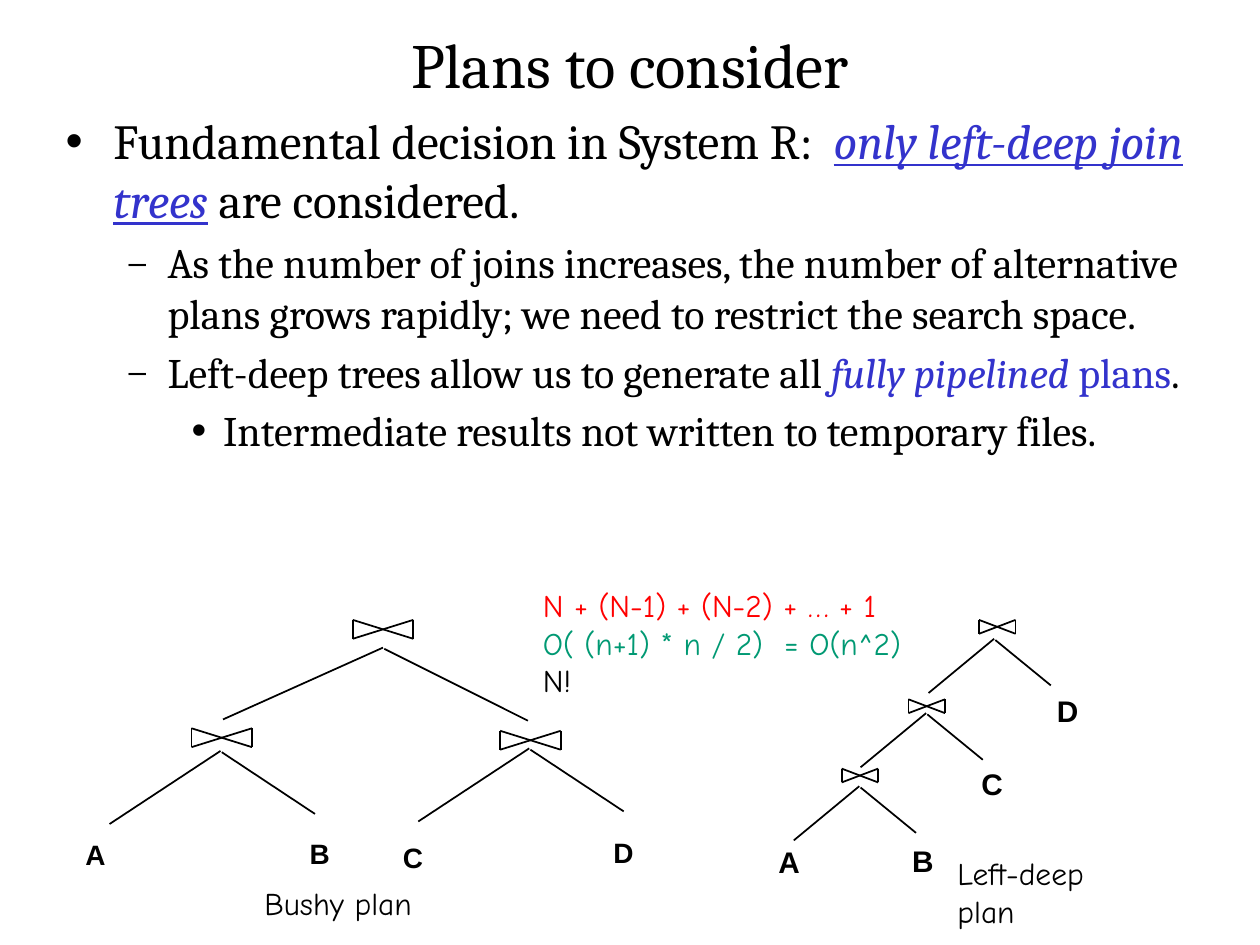
from dataclasses import dataclass

from lxml.etree import SubElement
from pptx import Presentation
from pptx.dml.color import RGBColor
from pptx.enum.shapes import MSO_CONNECTOR as Link
from pptx.enum.text import MSO_ANCHOR as Anchor, MSO_AUTO_SIZE as Fit, PP_ALIGN as Align
from pptx.oxml.ns import qn
from pptx.util import Inches, Pt

BLACK = RGBColor(0x00, 0x00, 0x00)
BLUE = RGBColor(0x33, 0x33, 0xCC)
RED = RGBColor(0xFF, 0x00, 0x00)
GREEN = RGBColor(0x00, 0x99, 0x73)
SERIF, SANS, HAND = "Cambria", "Arial", "Comic Neue"
Pair = tuple[float, float]


@dataclass
class Run:
    text: str
    color: RGBColor | None = None
    italic: bool = False
    under: bool = False


@dataclass
class Point:
    level: int
    runs: list[Run]


@dataclass
class Level:
    margin: float
    hang: float
    mark: str
    size: int
    scale: int = 100


@dataclass
class Join:
    """A bow tie at `at`, with two branches that leave from `apex`."""
    at: Pair
    apex: Pair


@dataclass
class Style:
    bow: Pair
    left: Pair
    right: Pair


@dataclass
class Leaf:
    text: str
    left: float
    top: float


LEVELS = [
    Level(0.38, 0.38, "•", 28),
    Level(0.81, 0.31, "–", 24, 75),
    Level(1.25, 0.25, "•", 24),
]
POINTS = [
    Point(0, [Run("Fundamental decision in System R:  "),
              Run("only left-deep join trees", BLUE, True, True),
              Run(" are considered.")]),
    Point(1, [Run("As the number of joins increases, the number of alternative "
                  "plans grows rapidly; we need to restrict the search space.")]),
    Point(1, [Run("Left-deep trees allow us to generate all "),
              Run("fully pipelined ", BLUE, True), Run("plans", BLUE), Run(".")]),
    Point(2, [Run("Intermediate results not written to temporary files.")]),
]

BOW = (0.48, 0.15)
ROOT = Style(BOW, (-1.27, 0.57), (1.14, 0.57))
BUSHY = Style(BOW, (-0.88, 0.58), (0.74, 0.49))
DEEP = Style((0.29, 0.11), (-0.52, 0.43), (0.44, 0.36))
TREES = [
    (ROOT, [Join((2.8, 4.92), (3.04, 5.14))]),
    (BUSHY, [Join((1.52, 5.78), (1.75, 5.96)), Join((3.97, 5.8), (4.2, 5.94))]),
    (DEEP, [Join((7.77, 4.92), (7.89, 5.07)), Join((7.21, 5.55), (7.35, 5.66)),
            Join((6.68, 6.1), (6.82, 6.24))]),
]
LEAVES = {
    16: [Leaf("A", 0.58, 6.6), Leaf("B", 2.36, 6.59),
         Leaf("C", 3.1, 6.62), Leaf("D", 4.77, 6.58)],
    17: [Leaf("A", 6.08, 6.65), Leaf("B", 7.14, 6.64),
         Leaf("C", 7.69, 6.03), Leaf("D", 8.29, 5.45)],
}


def place(shape, left: float, top: float, width: float, height: float) -> None:
    shape.left, shape.top = Inches(left), Inches(top)
    shape.width, shape.height = Inches(width), Inches(height)


def style(para, face: str, size: int, color: RGBColor = BLACK, bold: bool = False) -> None:
    font = para.font
    font.name, font.size, font.bold = face, Pt(size), bold
    font.color.rgb = color


def add_text(slide, box: tuple, lines: list[tuple[str, RGBColor]], face: str,
             size: int, bold: bool = False):
    frame = slide.shapes.add_textbox(*map(Inches, box)).text_frame
    frame.word_wrap = False
    for i, (text, color) in enumerate(lines):
        para = frame.add_paragraph() if i else frame.paragraphs[0]
        para.text = text
        style(para, face, size, color, bold)
    return frame


def add_point(para, point: Point) -> None:
    level = LEVELS[point.level]
    para.level = point.level
    props = para._p.get_or_add_pPr()
    props.set("marL", str(Inches(level.margin)))
    props.set("indent", str(-Inches(level.hang)))
    SubElement(props, qn("a:buSzPct")).set("val", str(level.scale * 1000))
    SubElement(props, qn("a:buChar")).set("char", level.mark)
    style(para, SERIF, level.size)
    for part in point.runs:
        run = para.add_run()
        run.text = part.text
        if part.color is not None:
            run.font.color.rgb = part.color
        if part.italic:
            run.font.italic = True
        if part.under:
            run.font.underline = True


def add_line(slide, start: Pair, end: Pair) -> None:
    line = slide.shapes.add_connector(Link.STRAIGHT, *map(Inches, start + end))
    line.line.color.rgb = BLACK
    line.line.width = Pt(1)
    SubElement(line._element.spPr, qn("a:effectLst"))


def add_join(slide, join: Join, look: Style) -> None:
    (left, top), (wide, high) = join.at, look.bow
    right, low = left + wide, top + high
    corners = [(left, top), (left, low), (right, top), (right, low)]
    for i, start in enumerate(corners):
        add_line(slide, start, corners[(i + 1) % 4])
    x, y = join.apex
    for gap, (dx, dy) in ((0, look.left), (0.01, look.right)):
        add_line(slide, (x + gap, y + gap), (x + gap + dx, y + gap + dy))


def main() -> None:
    deck = Presentation()
    deck.slide_width, deck.slide_height = Inches(10), Inches(7.5)
    slide = deck.slides.add_slide(deck.slide_layouts[1])

    title, body = slide.placeholders
    place(title, 0.75, 0.17, 8.5, 0.67)
    title.text_frame.text = "Plans to consider"
    title.text_frame.auto_size = Fit.NONE
    head = title.text_frame.paragraphs[0]
    head.alignment = Align.CENTER
    style(head, SERIF, 36)

    place(body, 0.42, 0.83, 9.25, 2.67)
    frame = body.text_frame
    frame.auto_size = Fit.NONE
    for i, point in enumerate(POINTS):
        para = frame.add_paragraph() if i else frame.paragraphs[0]
        add_point(para, point)
    frame.paragraphs[0].space_before = Pt(0)

    for look, joins in TREES:
        for join in joins:
            add_join(slide, join, look)
    for size, leaves in LEAVES.items():
        for leaf in leaves:
            box = (leaf.left, leaf.top, 0.37, 0.37)
            label = add_text(slide, box, [(leaf.text, BLACK)], SANS, size, True)
            label.auto_size = Fit.SHAPE_TO_FIT_TEXT

    for text, left, top in (("Bushy plan", 2, 6.92), ("Left-deep plan", 7.5, 6.83)):
        note = add_text(slide, (left, top, 1.58, 0.5), [(text, BLACK)], HAND, 18)
        note.vertical_anchor = Anchor.MIDDLE
    costs = [("N + (N-1) + (N-2) + … + 1", RED),
             ("O( (n+1) * n / 2)  = O(n^2)", GREEN), ("N!", BLACK)]
    sums = add_text(slide, (4.21, 4.6, 3.24, 1.04), costs, HAND, 18)
    sums.auto_size = Fit.SHAPE_TO_FIT_TEXT

    deck.save("out.pptx")


if __name__ == "__main__":
    main()
